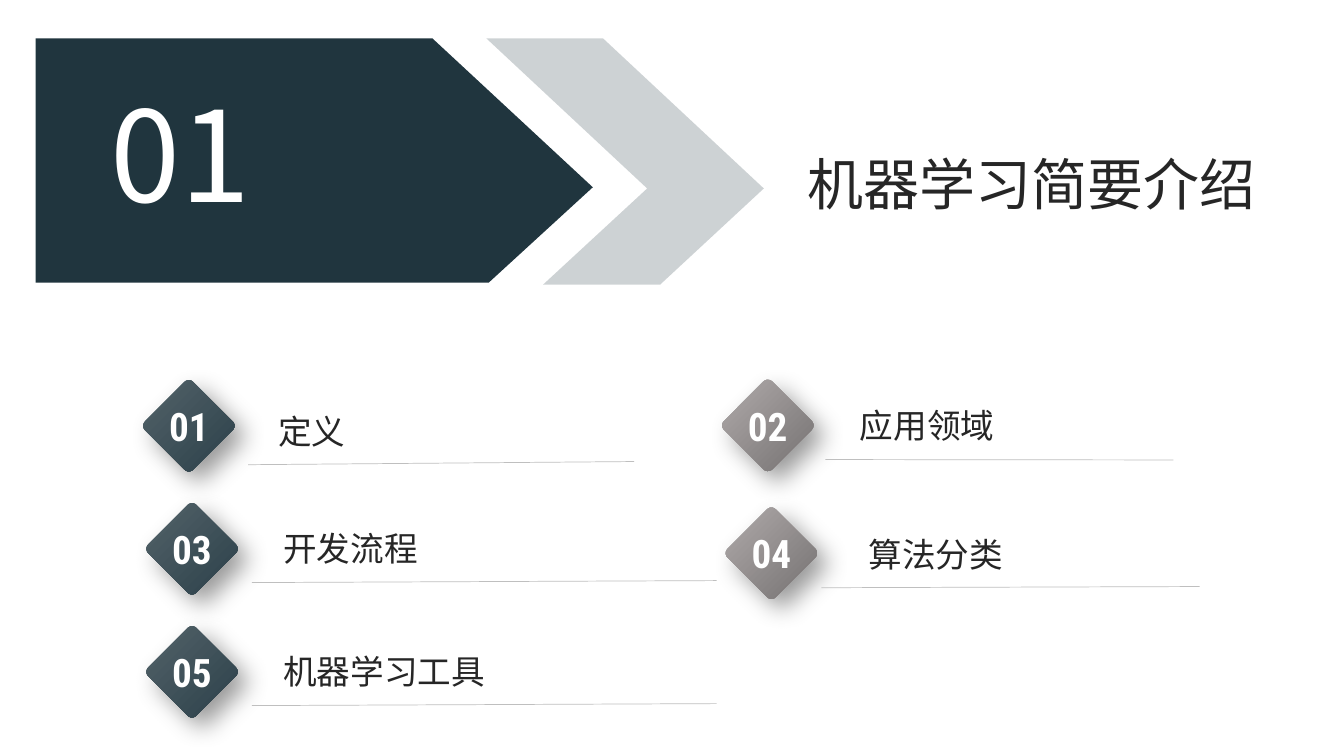
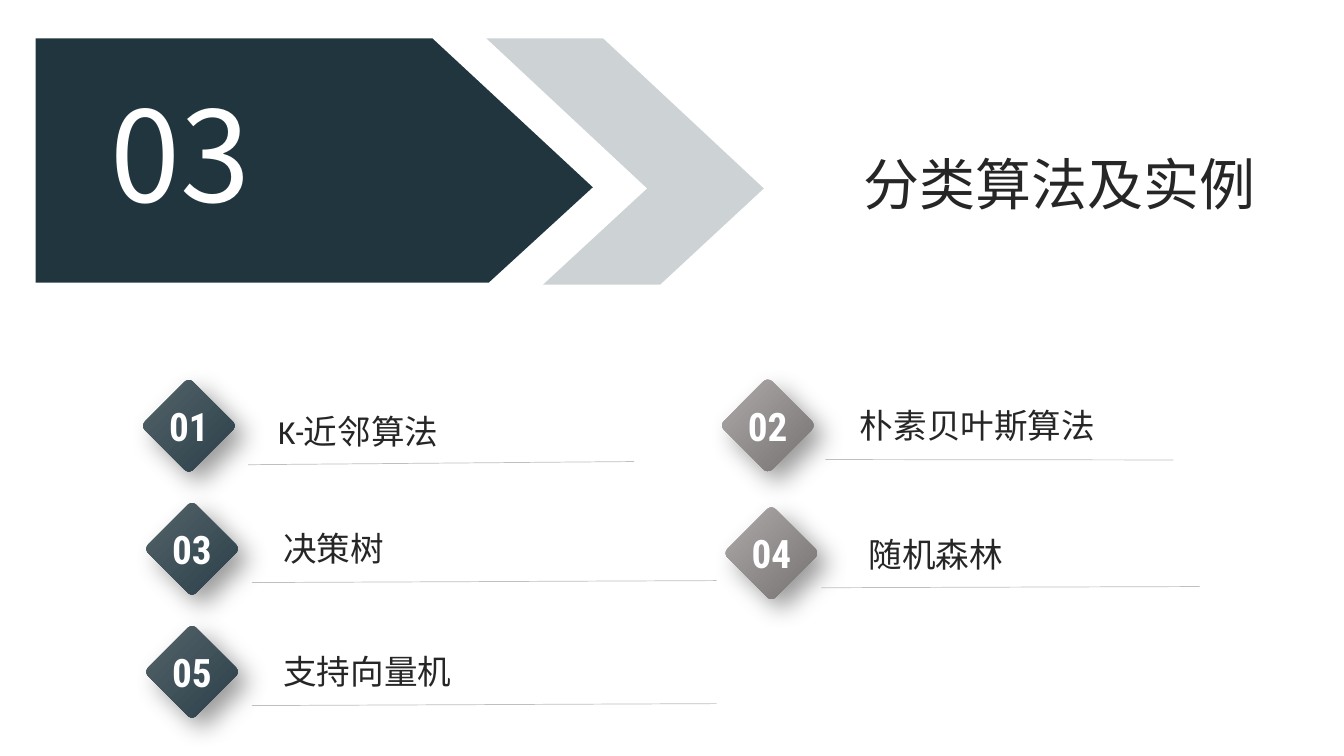
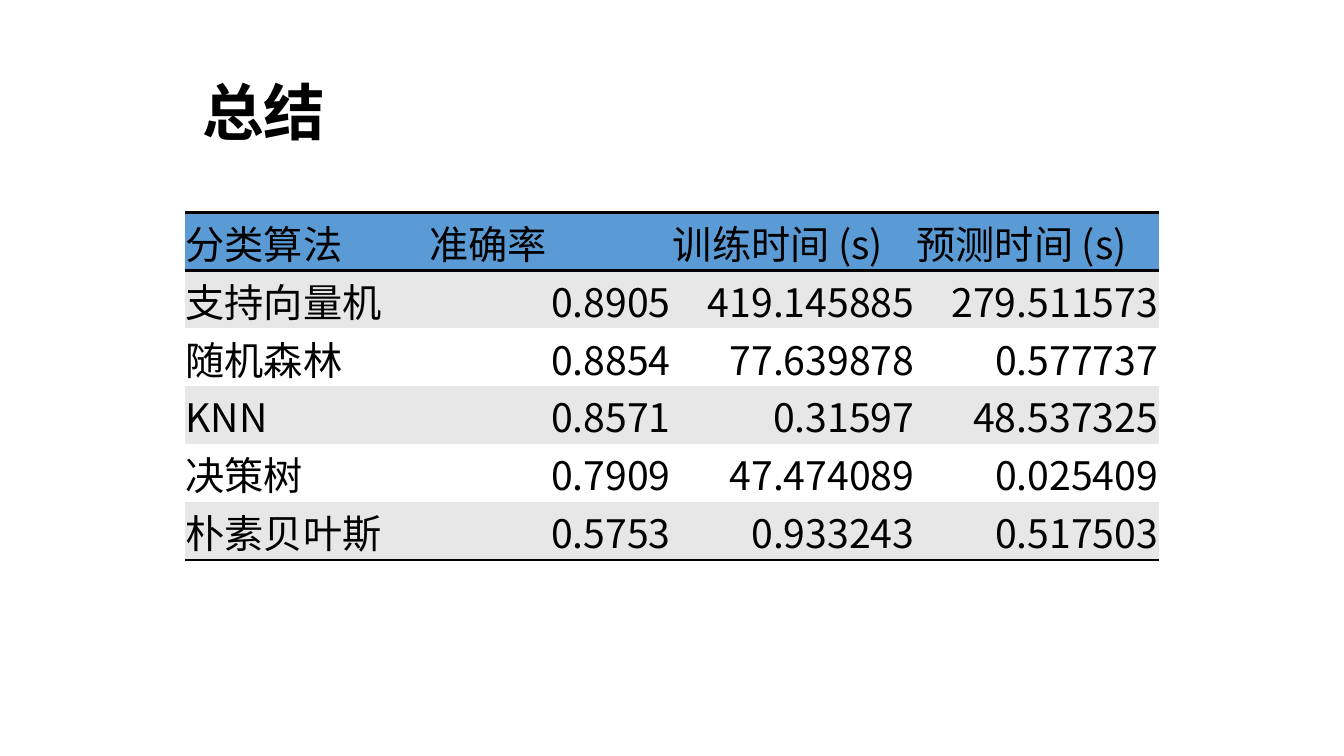
import math

import lxml.etree
import pptx
import pptx.dml.color
import pptx.enum.dml
import pptx.enum.shapes
import pptx.enum.text
import pptx.oxml.ns
import pptx.util

Cm, Pt = pptx.util.Cm, pptx.util.Pt
ALIGN = pptx.enum.text.PP_ALIGN
ANCHOR = pptx.enum.text.MSO_ANCHOR
qn = pptx.oxml.ns.qn

# Shared look
CONDENSED, CJK, LATIN = "Roboto Condensed", "Noto Sans CJK SC", "Calibri"
NAVY, INK, WHITE, BLACK, RULE = "08202A", "262626", "FFFFFF", "000000", "BFBFBF"
DARK_BADGE, GREY_BADGE = ("526269", "2D414A"), ("AFABAB", "767171")
HEADER_FILL, BAND_FILL = "5B9BD5", "E7E7E7"
NO_GRID_STYLE = "{2D5ABB26-0587-4C30-8999-92F81FD0307C}"

# Content: each topic is a list of (words, font) runs
SECTIONS = [
    ("01", "机器学习简要介绍", [
        [("定义", CONDENSED)],
        [("应用领域", CONDENSED)],
        [("开发流程", CONDENSED)],
        [("算法分类", CJK)],
        [("机器学习工具", CONDENSED)],
    ]),
    ("03", "分类算法及实例", [
        [("K", LATIN), ("-近邻算法", CONDENSED)],
        [("朴素贝叶斯算法", CONDENSED)],
        [("决策树", CONDENSED)],
        [("随机森林", CJK)],
        [("支持向量机", CONDENSED)],
    ]),
]
SUMMARY_TITLE = "总结"
RESULTS = [
    ("分类算法", "准确率", "训练时间 (s)", "预测时间 (s)"),
    ("支持向量机", "0.8905", "419.145885", "279.511573"),
    ("随机森林", "0.8854", "77.639878", "0.577737"),
    ("KNN", "0.8571", "0.31597", "48.537325"),
    ("决策树", "0.7909", "47.474089", "0.025409"),
    ("朴素贝叶斯", "0.5753", "0.933243", "0.517503"),
]

# Places in cm: badge centre, label left and middle, rule start and end
TOPIC_PLACES = [
    ((4.76, 10.73), (7.01, 10.85), (6.25, 11.71, 15.98, 11.63)),
    ((19.35, 10.72), (21.67, 10.72), (20.8, 11.58, 29.57, 11.59)),
    ((4.84, 13.83), (7.14, 13.82), (6.35, 14.68, 18.06, 14.63)),
    ((19.44, 13.94), (21.89, 13.95), (20.7, 14.81, 30.23, 14.78)),
    ((4.84, 16.93), (7.14, 16.92), (6.35, 17.78, 18.06, 17.73)),
]
LABEL_WIDTHS = (14.5, 11.5)
LABEL_HEIGHT = 1.02
BADGE_REACH, BADGE_RADIUS = 1.0, 0.15
BANNER = [(10.9, 0.97), (14.94, 4.72), (12.32, 7.12), (0.9, 7.12), (0.9, 0.97)]
CHEVRON = [(15.2, 0.97), (19.25, 4.75), (16.64, 7.17), (13.69, 7.17),
           (16.31, 4.75), (12.26, 0.97)]


def rgb(hex_colour):
    return pptx.dml.color.RGBColor.from_string(hex_colour)


def sub(parent, tag, **attributes):
    child = lxml.etree.SubElement(parent, qn(tag))
    for key, value in attributes.items():
        child.set(key, str(value))
    return child


def add_run(paragraph, words, size, colour, font=CONDENSED, bold=False):
    run = paragraph.add_run()
    run.text = words
    run.font.size, run.font.bold, run.font.name = Pt(size), bold, font
    run.font.color.rgb = rgb(colour)
    sub(run.font._element, "a:ea", typeface=CJK)


def set_insets(frame, left=0, top=0):
    frame.margin_left = frame.margin_right = Cm(left)
    frame.margin_top = frame.margin_bottom = Cm(top)


def add_text(slide, box, runs, size, colour, align=ALIGN.LEFT, anchor=ANCHOR.TOP,
             bold=False, wrap=True, insets=(0, 0)):
    """runs: list of (words, font); box: left, top, width, height in cm."""
    frame = slide.shapes.add_textbox(*map(Cm, box)).text_frame
    frame.word_wrap = wrap
    frame.auto_size = pptx.enum.text.MSO_AUTO_SIZE.SHAPE_TO_FIT_TEXT
    frame.vertical_anchor = anchor
    set_insets(frame, *insets)
    paragraph = frame.paragraphs[0]
    paragraph.alignment = align
    for words, font in runs:
        add_run(paragraph, words, size, colour, font, bold)
    return paragraph


def add_outline(slide, points):
    corners = [(Cm(x), Cm(y)) for x, y in points]
    builder = slide.shapes.build_freeform(*corners[0])
    builder.add_line_segments(corners[1:], close=True)
    outline = builder.convert_to_shape()
    outline.line.fill.background()
    outline.shadow.inherit = False
    return outline


def add_band(slide, points, opacity):
    band = add_outline(slide, points)
    band.fill.solid()
    band.fill.fore_color.rgb = rgb(NAVY)
    colour = band._element.spPr.find(qn("a:solidFill"))[0]
    sub(colour, "a:alpha", val=opacity * 1000)


def add_badge(slide, centre, number, shades):
    # Diamond with each tip rounded by a quarter arc
    points = []
    for tip in range(0, 360, 90):
        for turn in range(-45, 46, 15):
            arc = math.radians(tip + turn)
            points.append((
                centre[0] + BADGE_REACH * math.cos(math.radians(tip))
                + BADGE_RADIUS * math.cos(arc),
                centre[1] + BADGE_REACH * math.sin(math.radians(tip))
                + BADGE_RADIUS * math.sin(arc)))
    badge = add_outline(slide, points)
    badge.fill.gradient()
    badge.fill.gradient_angle = 315
    for stop, shade in zip(badge.fill.gradient_stops, shades):
        stop.color.rgb = rgb(shade)
    effects = badge._element.spPr.find(qn("a:effectLst"))
    shadow = sub(effects, "a:outerShdw", blurRad=Pt(18), dist=Pt(10),
                 dir=45 * 60000, algn="tl", rotWithShape=0)
    sub(sub(shadow, "a:srgbClr", val=BLACK), "a:alpha", val=40000)
    frame = badge.text_frame
    frame.vertical_anchor = ANCHOR.MIDDLE
    set_insets(frame)
    frame.paragraphs[0].alignment = ALIGN.CENTER
    add_run(frame.paragraphs[0], number, 28, WHITE, bold=True)


def add_rule(slide, ends):
    rule = slide.shapes.add_connector(
        pptx.enum.shapes.MSO_CONNECTOR.STRAIGHT, *map(Cm, ends))
    rule.line.color.rgb = rgb(RULE)
    rule.line.width = Pt(0.5)
    sub(rule._element.spPr, "a:effectLst")


def add_section(slide, number, title, topics):
    # Header
    add_band(slide, BANNER, 90)
    add_band(slide, CHEVRON, 20)
    add_text(slide, (5.66, 3.78, 25.97, 1.7), [(title, CONDENSED)], 40, INK,
             align=ALIGN.RIGHT)
    numeral = add_text(slide, (2.08, 1.9, 4.42, 3.84), [(number, CJK)], 90, WHITE,
                       anchor=ANCHOR.BOTTOM, wrap=False)
    numeral._p.get_or_add_pPr().set("marL", str(Cm(0.7)))
    # Topics, alternating between the left and right columns
    for index, (topic, place) in enumerate(zip(topics, TOPIC_PLACES)):
        centre, (left, middle), ends = place
        column = index % 2
        add_badge(slide, centre, f"{index + 1:02}", (DARK_BADGE, GREY_BADGE)[column])
        add_text(slide, (left, middle - LABEL_HEIGHT / 2, LABEL_WIDTHS[column],
                         LABEL_HEIGHT), topic, 24, INK, anchor=ANCHOR.MIDDLE)
        add_rule(slide, ends)


def add_border(cell, side):
    border = sub(cell._tc.get_or_add_tcPr(), side, w=Pt(2))
    sub(sub(border, "a:solidFill"), "a:srgbClr", val=BLACK)


def add_results(slide):
    rows, columns = len(RESULTS), len(RESULTS[0])
    frame = slide.shapes.add_table(rows, columns, Cm(4.65), Cm(5.36),
                                   Cm(24.56), Cm(8.31))
    table = frame.table
    table.first_row = table.horz_banding = False
    table._tbl.tblPr.find(qn("a:tableStyleId")).text = NO_GRID_STYLE
    for r, record in enumerate(RESULTS):
        for c, words in enumerate(record):
            cell = table.cell(r, c)
            set_insets(cell, 0.03, 0.03)
            cell.margin_bottom = 0
            cell.vertical_anchor = ANCHOR.BOTTOM
            if r == 0:
                add_border(cell, "a:lnT")
            if r in (0, rows - 1):
                add_border(cell, "a:lnB")
            cell.fill.solid()
            cell.fill.fore_color.rgb = rgb(
                HEADER_FILL if r == 0 else BAND_FILL if r % 2 else WHITE)
            paragraph = cell.text_frame.paragraphs[0]
            paragraph.alignment = ALIGN.RIGHT if r and c else ALIGN.LEFT
            add_run(paragraph, words, 28, BLACK, CJK)


def main():
    deck = pptx.Presentation()
    deck.slide_width, deck.slide_height = Cm(33.87), Cm(19.05)
    blank = deck.slide_layouts[6]
    for section in SECTIONS:
        add_section(deck.slides.add_slide(blank), *section)
    summary = deck.slides.add_slide(blank)
    add_results(summary)
    add_text(summary, (4.85, 1.73, 8.03, 2.13), [(SUMMARY_TITLE, CJK)], 44, BLACK,
             bold=True, insets=(0.25, 0.13))
    deck.save("out.pptx")


if __name__ == "__main__":
    main()
